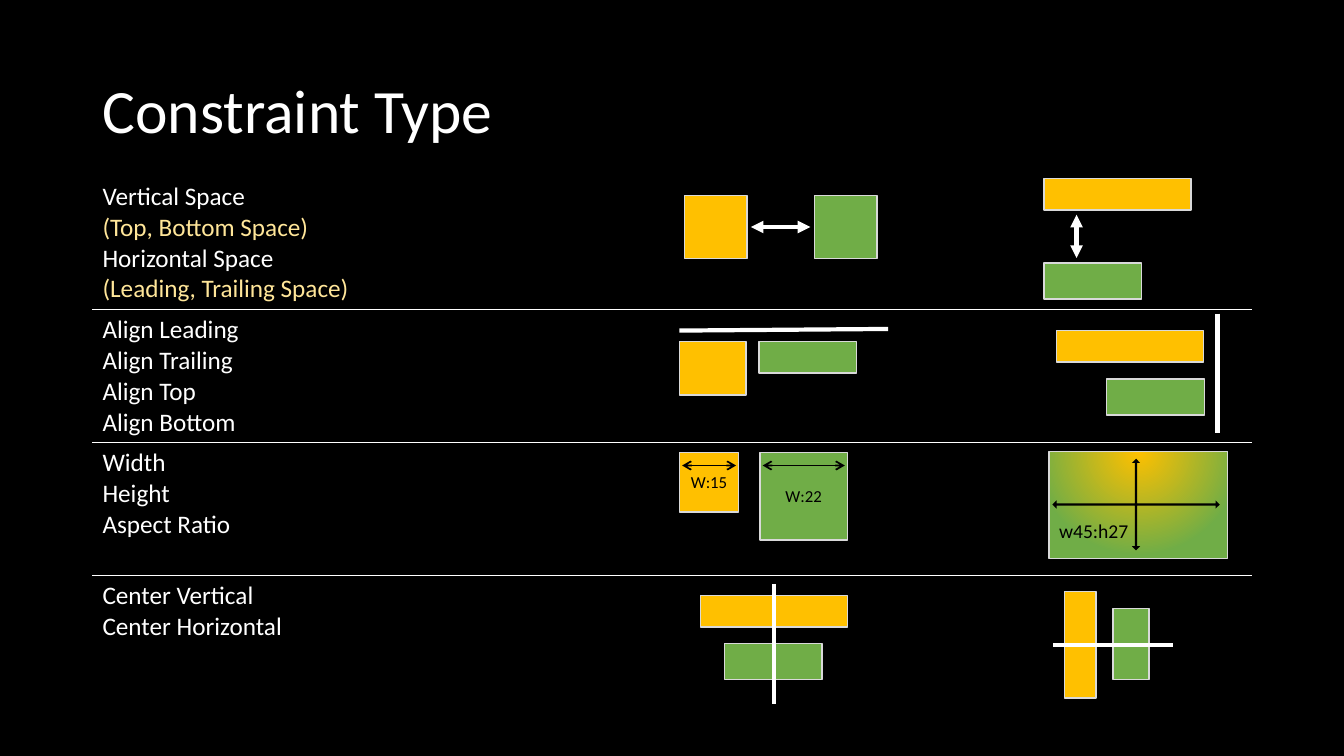
from lxml import etree
from pptx import Presentation
from pptx import util as u
from pptx.dml.color import RGBColor
from pptx.enum import shapes, text
from pptx.oxml import parse_xml
from pptx.oxml.ns import nsdecls, qn

BLACK = RGBColor(0x00, 0x00, 0x00)
WHITE = RGBColor(0xFF, 0xFF, 0xFF)
CREAM = RGBColor(0xFF, 0xE6, 0x99)
AMBER = RGBColor(0xFF, 0xC0, 0x00)
GREEN = RGBColor(0x70, 0xAD, 0x47)
GREY = RGBColor(0xD9, 0xD9, 0xD9)

SQUARE = (1.58, 1.58)
BAR = (3.71, 0.79)
STUB = (2.46, 0.91)
LEFT, WIDTH = 2.33, 29.21
NO_STYLE = "{2D5ABB26-0587-4C30-8999-92F81FD0307C}"

ROWS = [
    [("Vertical Space", WHITE), ("(Top, Bottom Space)", CREAM),
     ("Horizontal Space", WHITE), ("(Leading, Trailing Space)", CREAM)],
    [("Align Leading", WHITE), ("Align Trailing", WHITE),
     ("Align Top", WHITE), ("Align Bottom", WHITE)],
    [("Width", WHITE), ("Height", WHITE), ("Aspect Ratio", WHITE)],
    [("Center Vertical", WHITE), ("Center Horizontal", WHITE)],
]


def write(p, words, size=18, color=WHITE, align=text.PP_ALIGN.LEFT, spacing=None):
    p.alignment = align
    p.line_spacing = spacing
    r = p.add_run()
    r.text = words
    r.font.name = "Calibri"
    r.font.size = u.Pt(size)
    r.font.color.rgb = color


class Sheet:
    def __init__(self, prs):
        self.s = prs.slides.add_slide(prs.slide_layouts[5])
        self.s.background.fill.solid()
        self.s.background.fill.fore_color.rgb = BLACK

    def title(self, words):
        sp = self.s.shapes.title
        sp.left, sp.top = u.Cm(LEFT), u.Cm(1.01)
        sp.width, sp.height = u.Cm(WIDTH), u.Cm(3.68)
        tf = sp.text_frame
        tf.auto_size = text.MSO_AUTO_SIZE.NONE
        tf.vertical_anchor = text.MSO_ANCHOR.MIDDLE
        write(tf.paragraphs[0], words, size=44, spacing=0.9)

    def table(self, rows, top, row_height, widths):
        frame = self.s.shapes.add_table(
            len(rows), len(widths), u.Cm(LEFT), u.Cm(top),
            u.Cm(WIDTH), u.Cm(row_height * len(rows)))
        table = frame.table
        table.first_row = table.horz_banding = False
        frame._element.find(".//" + qn("a:tableStyleId")).text = NO_STYLE
        for column, width in zip(table.columns, widths):
            column.width = u.Cm(width)
        for i, lines in enumerate(rows):
            for cell in table.rows[i].cells:
                cell.fill.background()
                if i > 0:
                    self.border(cell, "lnT")
                if i < len(rows) - 1:
                    self.border(cell, "lnB")
            tf = table.cell(i, 0).text_frame
            for n, (words, color) in enumerate(lines):
                p = tf.add_paragraph() if n else tf.paragraphs[0]
                write(p, words, color=color)

    def border(self, cell, side):
        tc_pr = cell._tc.get_or_add_tcPr()
        line = parse_xml(
            f'<a:{side} {nsdecls("a")} w="12700"><a:solidFill>'
            f'<a:srgbClr val="{WHITE}"/></a:solidFill></a:{side}>')
        tc_pr.insert(len(tc_pr) - 1, line)

    def shape(self, x, y, size, fill, kind=shapes.MSO_SHAPE.RECTANGLE, edge=GREY, label=None):
        sp = self.s.shapes.add_shape(kind, u.Cm(x), u.Cm(y), *map(u.Cm, size))
        sp.shadow.inherit = False
        sp.fill.solid()
        sp.fill.fore_color.rgb = fill
        if edge is None:
            sp.line.fill.background()
        else:
            sp.line.color.rgb = edge
            sp.line.width = u.Pt(1)
        if label:
            sp.text_frame.vertical_anchor = text.MSO_ANCHOR.MIDDLE
            write(sp.text_frame.paragraphs[0], label, size=12, color=BLACK,
                  align=text.PP_ALIGN.CENTER)
        return sp

    def glow(self, x, y, size, inner, outer):
        sp = self.shape(x, y, size, outer)
        sp.fill.gradient()
        grad = sp._element.spPr.find(qn("a:gradFill"))
        radial = parse_xml(
            f'<a:gradFill {nsdecls("a")} rotWithShape="1"><a:gsLst>'
            f'<a:gs pos="0"><a:srgbClr val="{inner}"/></a:gs>'
            f'<a:gs pos="100000"><a:srgbClr val="{outer}"/></a:gs></a:gsLst>'
            '<a:path path="circle"><a:fillToRect l="50000" t="-80000" '
            'r="50000" b="180000"/></a:path></a:gradFill>')
        grad.getparent().replace(grad, radial)

    def line(self, x1, y1, x2, y2, color=WHITE, width=3, ends=None):
        c = self.s.shapes.add_connector(
            shapes.MSO_CONNECTOR.STRAIGHT, *map(u.Cm, (x1, y1, x2, y2)))
        c.line.color.rgb = color
        c.line.width = u.Pt(width)
        if ends:
            ln = c.line._get_or_add_ln()
            for tag in ("a:headEnd", "a:tailEnd"):
                etree.SubElement(ln, qn(tag), type=ends)
        etree.SubElement(c._element.spPr, qn("a:effectLst"))

    def caption(self, x, y, size, words):
        tf = self.s.shapes.add_textbox(u.Cm(x), u.Cm(y), *map(u.Cm, size)).text_frame
        tf.word_wrap = False
        tf.auto_size = text.MSO_AUTO_SIZE.SHAPE_TO_FIT_TEXT
        write(tf.paragraphs[0], words, size=14, color=BLACK)


def draw_spacing(sheet):
    sheet.shape(17.25, 4.93, SQUARE, AMBER)
    sheet.shape(20.52, 4.93, SQUARE, GREEN)
    sheet.line(18.92, 5.72, 20.42, 5.72, ends="triangle")
    sheet.shape(26.31, 4.5, BAR, AMBER)
    sheet.shape(26.31, 6.63, STUB, GREEN)
    sheet.line(27.13, 5.41, 27.13, 6.5, ends="triangle")


def draw_alignment(sheet):
    sheet.shape(26.62, 8.33, BAR, AMBER)
    sheet.shape(27.89, 9.55, STUB, GREEN)
    sheet.line(30.68, 7.9, 30.68, 10.9)
    sheet.shape(17.12, 8.61, (1.68, 1.35), AMBER)
    sheet.shape(19.13, 8.61, (2.46, 0.79), GREEN)
    sheet.line(17.12, 8.33, 22.38, 8.29)


def draw_sizes(sheet):
    for x, side, fill, label in ((17.12, 1.5, AMBER, "W:15"), (19.15, 2.21, GREEN, "W:22")):
        sheet.shape(x, 11.4, (side, side), fill, label=label)
        sheet.line(x + 0.07, 11.73, x + side - 0.07, 11.73, BLACK, 1.25, "arrow")
    sheet.glow(26.44, 11.38, (4.5, 2.69), AMBER, GREEN)
    arrows = sheet.shape(26.52, 11.56, (4.22, 2.31), BLACK,
                         shapes.MSO_SHAPE.QUAD_ARROW, edge=None)
    for i, value in enumerate((0.026, 0.045, 0.046)):
        arrows.adjustments[i] = value
    sheet.caption(26.44, 12.95, (2.29, 0.86), "w45:h27")


def draw_centering(sheet):
    sheet.shape(17.65, 15.01, BAR, AMBER)
    sheet.shape(18.26, 16.21, STUB, GREEN)
    sheet.line(19.51, 14.71, 19.51, 17.73)
    sheet.shape(26.83, 14.9, (0.79, 2.69), AMBER)
    sheet.shape(28.05, 15.33, (0.91, 1.8), GREEN)
    sheet.line(26.54, 16.26, 29.57, 16.26)


def main():
    prs = Presentation()
    prs.slide_width, prs.slide_height = u.Cm(33.87), u.Cm(19.05)
    sheet = Sheet(prs)
    sheet.title("Constraint Type")
    sheet.table(ROWS, 4.45, 3.35, (11.51, 7.39, 10.31))
    draw_spacing(sheet)
    draw_alignment(sheet)
    draw_sizes(sheet)
    draw_centering(sheet)
    prs.save("out.pptx")


if __name__ == "__main__":
    main()
